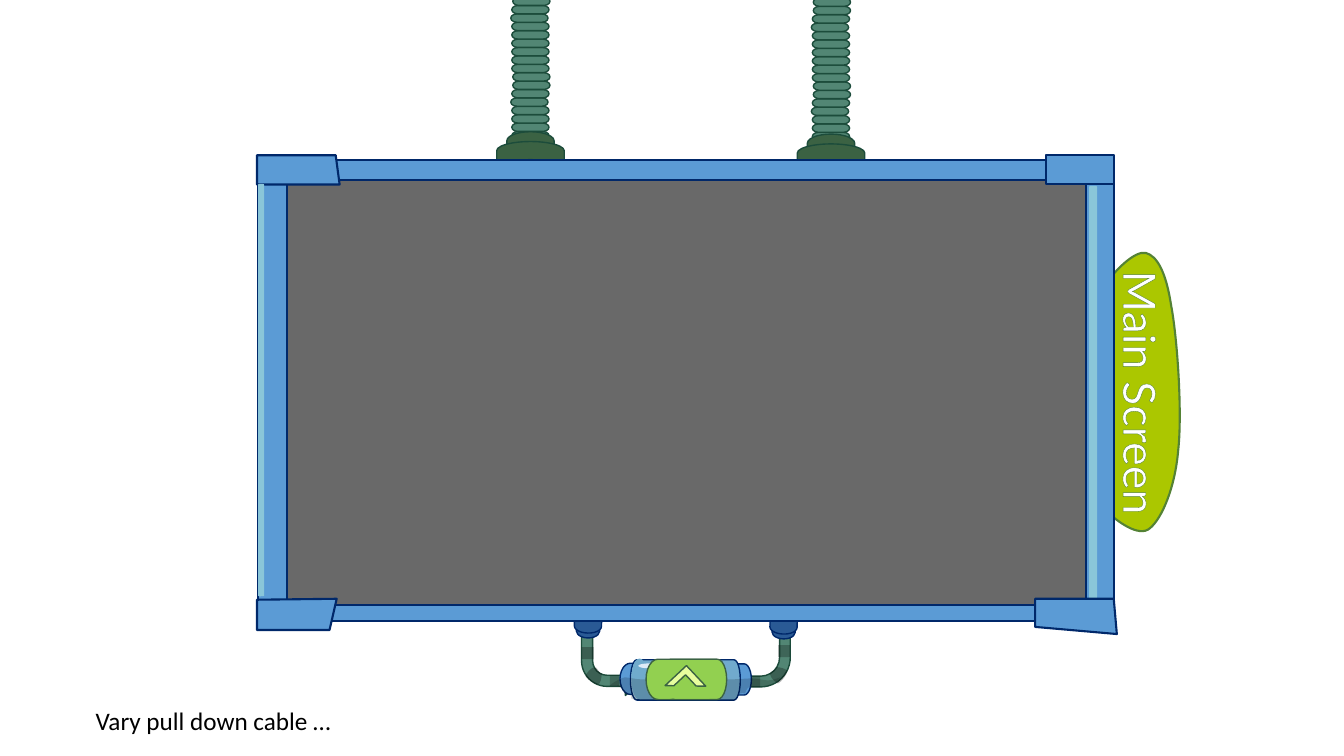
from lxml.etree import SubElement
from pptx import Presentation
from pptx.dml.color import RGBColor
from pptx.enum.shapes import MSO_SHAPE
from pptx.enum.text import MSO_AUTO_SIZE
from pptx.oxml import parse_xml
from pptx.oxml.ns import nsdecls, qn
from pptx.util import Pt

COLORS = {
    "hose": "528674", "hose edge": "1C4C3B", "socket": "3B6243",
    "frame": "5B9BD5", "frame edge": "00286A", "frame shine": "8AC6D9",
    "plug": "2A5A95", "barrel": "71AACD", "barrel end": "70ABCD",
    "glint": "DEEBF7", "button": "92D050", "chevron": "E7FD9D",
    "plate": "ABC700", "plate edge": "548235",
    "shade": "000000", "soft shade": "0D0D0D", "white": "FFFFFF",
}

prs = Presentation()
prs.slide_width, prs.slide_height = Pt(960), Pt(540)
slide = prs.slides.add_slide(prs.slide_layouts[6])
shapes = slide.shapes


def add(kind, box, fill, edge=None, weight=1, opacity=100, turn=0, flip="", adj=()):
    if kind in ("curved", "straight"):
        points = [(Pt(x), Pt(y)) for x, y in box]
        pen = shapes.build_freeform(*points[0])
        pen.add_line_segments(points[1:])
        part = pen.convert_to_shape()
    else:
        part = shapes.add_shape(kind, *[Pt(v) for v in box])
    if kind == "curved":
        # Every three line ends become one Bezier curve
        ends = list(part._element.iter(qn("a:lnTo")))
        for i in range(0, len(ends), 3):
            curve = parse_xml(f'<a:cubicBezTo {nsdecls("a")}/>')
            ends[i].addprevious(curve)
            for end in ends[i:i + 3]:
                curve.append(end[0])
                end.getparent().remove(end)
    part.rotation = turn
    for i, value in enumerate(adj):
        part.adjustments[i] = value
    for axis in flip:
        part._element.spPr.find(qn("a:xfrm")).set("flip" + axis, "1")
    part.shadow.inherit = False
    part.fill.solid()
    part.fill.fore_color.rgb = RGBColor.from_string(COLORS[fill])
    if opacity < 100:
        color = part.fill._xPr.find(qn("a:solidFill"))[0]
        SubElement(color, qn("a:alpha")).set("val", str(opacity * 1000))
    if edge:
        part.line.color.rgb = RGBColor.from_string(COLORS[edge])
        part.line.width = Pt(weight)
    else:
        part.line.fill.background()


def write(text, box, font, size, color, turn=0, wrap=True, edge=None):
    label = shapes.add_textbox(*[Pt(v) for v in box])
    label.rotation = turn
    label.text_frame.text = text
    label.text_frame.word_wrap = wrap
    label.text_frame.auto_size = MSO_AUTO_SIZE.SHAPE_TO_FIT_TEXT
    run = label.text_frame.paragraphs[0].runs[0]
    run.font.name, run.font.size = font, Pt(size)
    run.font.color.rgb = RGBColor.from_string(COLORS[color])
    if edge:
        run.font._element.insert(0, parse_xml(
            f'<a:ln {nsdecls("a")} w="{Pt(0.75)}"><a:solidFill>'
            f'<a:srgbClr val="{COLORS[edge]}"/></a:solidFill></a:ln>'))


# Handle: bent pipes and the plugs that hold them
for box, flip, thickness in (
    ((508.3, 450.7, 56.2, 48.2), "HV", 0.159),
    ((415.4, 448.6, 41.8, 48.2), "V", 0.19),
):
    add(MSO_SHAPE.BENT_ARROW, box, "hose", "hose edge", flip=flip,
        adj=(thickness, 0.25, 0.25, 0.438))
for x, y in ((551.5, 437), (411.8, 436.3)):
    add(MSO_SHAPE.CAN, (x, y, 16.6, 19.4), "plug", "frame edge", turn=1, adj=[0.586])
    add(MSO_SHAPE.CAN, (x - 1.4, y - 4.3, 19.4, 20.2), "plug", "frame edge",
        turn=1.5, adj=[0.504])

# Handle: barrel
for box, fill, flip, depth in (
    ((493.2, 452.9, 22.3, 64.8), "frame", "", 0.462),
    ((448.6, 468, 22.3, 33.8), "frame", "V", 0.665),
    ((475.2, 446.4, 28.8, 78.5), "barrel", "", 0.313),
):
    add(MSO_SHAPE.CAN, box, fill, "frame edge", turn=270, flip=flip, adj=[depth])
add(MSO_SHAPE.OVAL, (451.4, 470.9, 10.8, 28.1), "barrel end", "barrel end")

# Handle: shading, curves given as a start point and three points per curve
barrel_shade = [
    (435.6, 489.6), (436.3, 488.9), (442.1, 484.6), (446.4, 483.8),
    (450.7, 483.1), (449.3, 485.3), (460.8, 485.3), (473, 486), (504.7, 486), (517.7, 485.3),
    (529.9, 485.3), (531.4, 484.6), (536.4, 484.6), (541.4, 484.6), (545.8, 486), (548.6, 486),
    (552.2, 486), (557.3, 483.8), (557.3, 483.8), (557.3, 484.6), (553, 488.2), (549.4, 489.6),
    (545.8, 490.3), (538.6, 489.6), (535.7, 490.3), (532.8, 491.8), (532.8, 494.6), (532.1, 495.4),
    (530.6, 496.1), (529.9, 493.9), (528.5, 495.4), (527, 496.1), (527, 499.7), (524.9, 500.4),
    (522.7, 501.1), (523.4, 500.4), (516.2, 500.4), (508.3, 500.4), (488.2, 500.4), (478.1, 500.4),
    (467.3, 500.4), (457.2, 500.4), (452.9, 499.7), (448.6, 499), (452.2, 496.8), (450.7, 496.1),
    (450, 495.4), (448.6, 496.8), (447.1, 496.1), (445.7, 495.4), (444.2, 491), (442.1, 490.3),
    (440.6, 488.9), (435.6, 490.3), (435.6, 489.6),
]
left_elbow_shade = [
    (424.8, 476.6), (426.2, 475.9), (427.7, 480.2), (429.1, 481),
    (429.8, 482.4), (430.6, 480.2), (429.8, 481.7), (429.8, 483.1), (429.1, 488.9), (427, 488.9),
    (424.8, 488.9), (419, 484.6), (418.3, 483.1), (418.3, 481), (422.6, 476.6), (424.8, 476.6),
]
right_elbow_shade = [
    (550.1, 481.7), (549.4, 480.2), (553.7, 478.8), (554.4, 477.4),
    (555.1, 476.6), (553.7, 475.9), (555.1, 476.6), (556.6, 476.6), (561.6, 477.4), (562.3, 479.5),
    (562.3, 481.7), (558, 487.4), (555.8, 488.2), (554.4, 488.2), (550.1, 483.8), (550.1, 481.7),
]
for kind, outline, fill, opacity in (
    ("curved", barrel_shade, "shade", 17),
    (MSO_SHAPE.RECTANGLE, (415.4, 462.2, 8.6, 8.6), "soft shade", 32),
    (MSO_SHAPE.RECTANGLE, (555.8, 460.8, 8.6, 8.6), "shade", 24),
    ("curved", left_elbow_shade, "shade", 28),
    ("curved", right_elbow_shade, "shade", 28),
    (MSO_SHAPE.RECTANGLE, (435.6, 482.4, 6.5, 7.9), "shade", 21),
    (MSO_SHAPE.RECTANGLE, (536.4, 483.1, 6.5, 7.9), "shade", 21),
):
    add(kind, outline, fill, opacity=opacity)

# Handle: green button with chevron
STORAGE = MSO_SHAPE.FLOWCHART_STORED_DATA
add(STORAGE, (455.8, 473.8, 53.3, 3.6), "glint")
add(STORAGE, (461.5, 470.9, 50.4, 28.8), "button", "socket")
add(STORAGE, (478.8, 470.9, 40.3, 28.8), "button", "socket", flip="H")
add(MSO_SHAPE.RECTANGLE, (470.9, 471.6, 36, 27.4), "button")
add(MSO_SHAPE.HALF_FRAME, (479.5, 479.5, 20.2, 20.9), "chevron", "socket",
    turn=46.8, adj=(0.245, 0.216))

# Screen
add(MSO_SHAPE.RECTANGLE, (188.6, 122.4, 589.7, 308.9), "shade", opacity=59)

# Hanging hoses: rings from the bottom up, then the sockets
sway = (0, 0, 0, 0, 0, -0.7, 0, 0.7, 0.7, 0)
hoses = ((580.3, 106.6, 19, 95.8), (365.6, 100, 18, 94.1))
for x, y, rings, socket_y in hoses:
    for ring in range(rings):
        add(MSO_SHAPE.FLOWCHART_TERMINATOR, (x + sway[ring % 10], y - 6 * ring, 26.6, 5.9),
            "hose", "hose edge")
for x, y, rings, socket_y in hoses:
    for dx, dy, width in ((-3.6, 0, 33.8), (-10.8, 7, 48.2)):
        add(MSO_SHAPE.CAN, (x + dx, socket_y + dy, width, 25.9), "socket", "hose edge",
            turn=180, adj=[0.5])

# Frame: bottom and top bars
for box in ((236.9, 431.9, 507.6, 12), (238.7, 114.1, 510.5, 14.4)):
    add(MSO_SHAPE.RECTANGLE, box, "frame", "frame edge", 1.5)

# Name plate
name_plate = [
    (789.1, 204.5), (794.9, 194.4), (810.7, 178.6), (818.6, 180.7),
    (826.6, 182.9), (833, 194.4), (836.6, 218.2), (841, 241.2), (844.6, 294.5), (841.7, 321.1),
    (839.5, 347.8), (830.2, 370.1), (821.5, 377.3), (813.6, 384.5), (797, 371.5), (791.3, 365.8),
    (785.5, 360), (787.7, 365), (786.2, 343.4), (785.5, 321.1), (786.2, 262.1), (786.2, 239),
    (787, 215.3), (784.1, 213.8), (789.1, 204.5),
]
add("curved", name_plate, "plate", "plate edge", 1.5)
write("Main Screen", (704.9, 272.2, 218.9, 46.8), "Lato", 32, "white", 90, edge="plate edge")

# Frame: side bars with corners and shine
bottom_left = ((183.6, 450), (183.6, 428.4), (240.5, 427.7), (235.4, 450))
top_left = ((183.6, 131.8), (183.6, 110.9), (239.8, 110.9), (242.6, 131.8))
bottom_right = ((739.4, 447.8), (739.4, 427.7), (795.6, 427.7), (797.8, 452.9))
for kind, outline in (
    (MSO_SHAPE.RECTANGLE, (184, 112.7, 20.9, 325.4)),
    ("straight", bottom_left),
    ("straight", top_left),
    ("shine", (184.4, 131.4, 4.3, 294.5)),
    (MSO_SHAPE.RECTANGLE, (775.9, 121, 19.9, 318.2)),
    (MSO_SHAPE.RECTANGLE, (747, 110.5, 49, 20.9)),
    ("shine", (777.9, 132.8, 5.8, 294.5)),
    ("straight", bottom_right),
):
    if kind == "shine":
        add(MSO_SHAPE.ROUNDED_RECTANGLE, outline, "frame shine")
    else:
        add(kind, outline, "frame", "frame edge", 1.5)

# Caption
write("Vary pull down cable …", (61.2, 500, 185.8, 28.8), "Calibri", 18, "shade", wrap=False)

prs.save("out.pptx")
